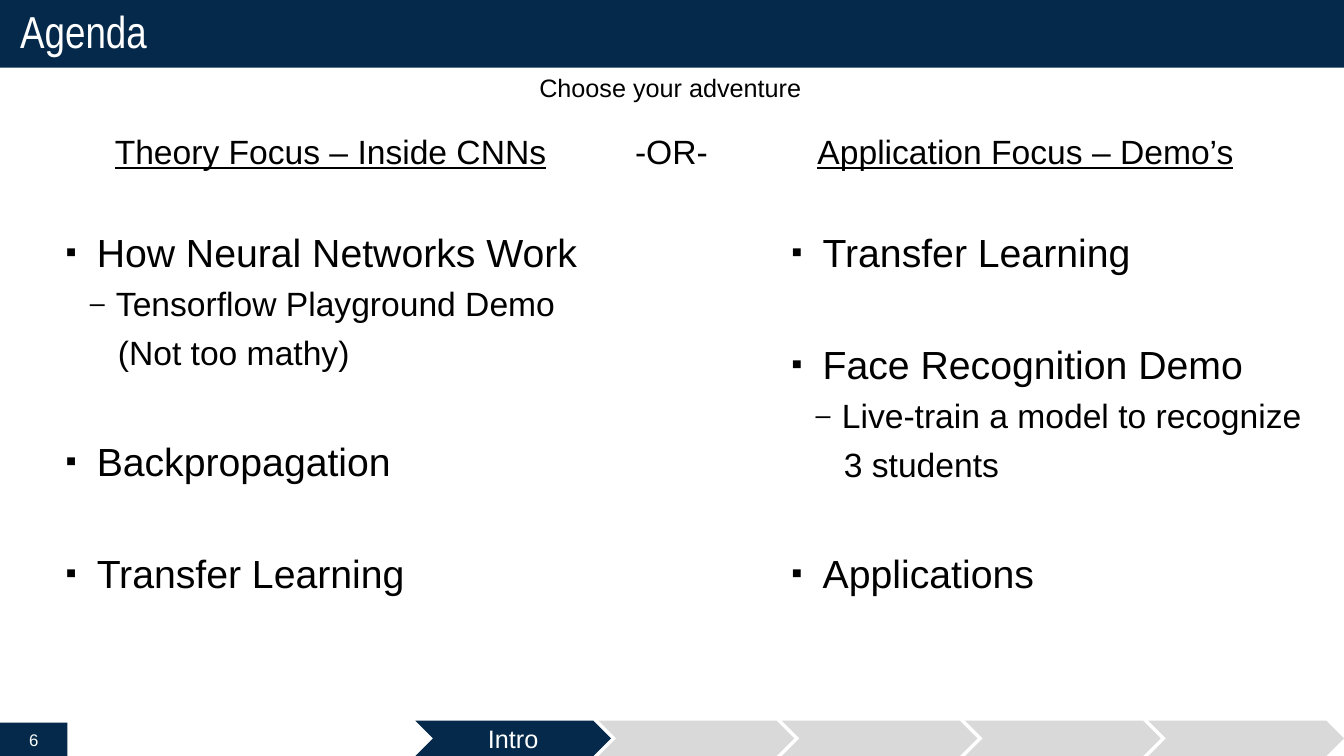
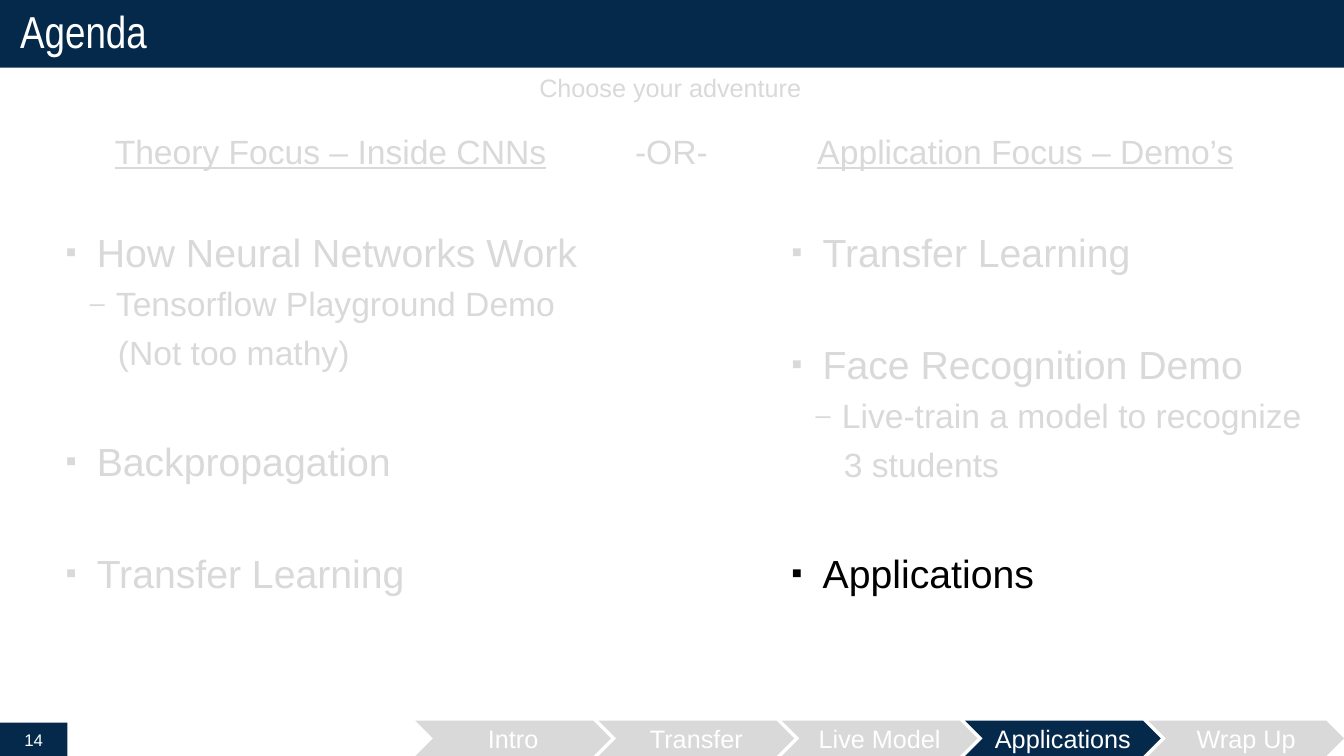
import dataclasses

import lxml.etree
import pptx
import pptx.dml.color
import pptx.enum.shapes
import pptx.enum.text
import pptx.oxml.ns
import pptx.util

Inches = pptx.util.Inches
Pt = pptx.util.Pt
Align = pptx.enum.text.PP_ALIGN
Anchor = pptx.enum.text.MSO_ANCHOR
AutoSize = pptx.enum.text.MSO_AUTO_SIZE
Shape = pptx.enum.shapes.MSO_SHAPE


@dataclasses.dataclass(frozen=True)
class Theme:
    navy: str = "04294A"
    muted: str = "D9D9D9"
    black: str = "000000"
    white: str = "FFFFFF"
    title_font: str = "Arial Narrow"
    text_font: str = "Arial"
    title_size: int = 32
    topic_size: int = 28
    detail_size: int = 24
    label_size: int = 18
    number_size: int = 12


@dataclasses.dataclass(frozen=True)
class ListStyle:
    level: int
    bullet: str
    left: float
    hanging: float
    size: int
    space_before: float


THEME = Theme()
PAGE_WIDTH, PAGE_HEIGHT = 13.33, 7.5
TITLE_BOX = (0, 0, PAGE_WIDTH, 0.67)
NUMBER_BOX = (0, 7.17, 0.67, 0.33)
PROGRESS_BOX = (4.12, 7.15, 9.21, 0.35)
CHEVRON_WIDTH = 1.94
COLUMN_BOXES = ((0.55, 2.21, 5.51, 4.62), (7.75, 2.21, 5.51, 4.62))

STYLES = {
    "topic": ListStyle(0, "▪", 0.31, 0.31, THEME.topic_size, 46.4),
    "detail": ListStyle(1, "–", 0.5, 0.26, THEME.detail_size, 6),
    "continued": ListStyle(1, "", 0.52, 0, THEME.detail_size, 6),
}
COLUMNS = (
    (
        ("topic", "How Neural Networks Work"),
        ("detail", "Tensorflow Playground Demo"),
        ("continued", "(Not too mathy)"),
        ("topic", "Backpropagation"),
        ("topic", "Transfer Learning"),
    ),
    (
        ("topic", "Transfer Learning"),
        ("topic", "Face Recognition Demo"),
        ("detail", "Live-train a model to recognize"),
        ("continued", "3 students"),
        ("topic", "Applications"),
    ),
)
HEADINGS = (
    ("-OR-", (6.2, 1.25, 0.93, 0.5), THEME.detail_size, False),
    ("Choose your adventure", (5.25, 0.67, 2.82, 0.4), THEME.label_size, False),
    ("Theory Focus – Inside CNNs", (1.04, 1.25, 4.53, 0.5), THEME.detail_size, True),
    ("Application Focus – Demo’s", (8.01, 1.25, 4.37, 0.5), THEME.detail_size, True),
)


def color(value):
    return pptx.dml.color.RGBColor.from_string(value)


def inches(box):
    return [Inches(length) for length in box]


def place(shape, box):
    shape.left, shape.top, shape.width, shape.height = inches(box)


def format_font(para, size, value, name=THEME.text_font):
    para.font.name = name
    para.font.size = Pt(size)
    para.font.color.rgb = color(value)


def add_bullet(para, style, value):
    properties = para._p.get_or_add_pPr()
    properties.set("marL", str(Inches(style.left)))
    properties.set("indent", str(-Inches(style.hanging)))

    def add(parent, tag, **attributes):
        return lxml.etree.SubElement(parent, pptx.oxml.ns.qn(tag), attributes)

    if style.bullet:
        add(add(properties, "a:buClr"), "a:srgbClr", val=value)
        add(properties, "a:buSzPct", val="80000")
        add(properties, "a:buFont", typeface=THEME.text_font)
        add(properties, "a:buChar", char=style.bullet)
    else:
        add(properties, "a:buNone")


def add_block(page, kind, box, fill, text, size):
    block = page.shapes.add_shape(kind, *inches(box))
    block.shadow.inherit = False
    block.fill.solid()
    block.fill.fore_color.rgb = color(fill)
    block.line.fill.background()
    if text:
        frame = block.text_frame
        frame.word_wrap = False
        frame.vertical_anchor = Anchor.MIDDLE
        para = frame.paragraphs[0]
        para.text = text
        para.alignment = Align.CENTER
        format_font(para, size, THEME.white)


def fill_title(title, box, text):
    place(title, box)
    title.fill.solid()
    title.fill.fore_color.rgb = color(THEME.navy)
    frame = title.text_frame
    frame.auto_size = AutoSize.NONE
    frame.vertical_anchor = Anchor.MIDDLE
    frame.margin_left = frame.margin_right = Inches(0.2)
    frame.margin_top = frame.margin_bottom = Inches(0.1)
    para = frame.paragraphs[0]
    para.text = text
    para.alignment = Align.LEFT
    para.line_spacing = 0.9
    format_font(para, THEME.title_size, THEME.white, THEME.title_font)


def fill_column(body, box, items, text_color, focus):
    place(body, box)
    frame = body.text_frame
    frame.auto_size = AutoSize.NONE
    frame.vertical_anchor = Anchor.TOP
    for index, (kind, text) in enumerate(items):
        style = STYLES[kind]
        value = THEME.black if text == focus else text_color
        para = frame.add_paragraph() if index else frame.paragraphs[0]
        para.text = text
        para.level = style.level
        add_bullet(para, style, value)
        para.space_before = Pt(style.space_before if index else 0)
        format_font(para, style.size, value)


def add_heading(page, text, box, size, underline, value):
    heading = page.shapes.add_textbox(*inches(box))
    frame = heading.text_frame
    frame.word_wrap = False
    frame.auto_size = AutoSize.SHAPE_TO_FIT_TEXT
    para = frame.paragraphs[0]
    para.text = text
    format_font(para, size, value)
    if underline:
        para.font.underline = True


def add_progress(page, box, steps, active):
    left, top, width, height = box
    pitch = (width - CHEVRON_WIDTH) / (len(steps) - 1)
    for index, step in enumerate(steps):
        fill = THEME.navy if index == active else THEME.muted
        step_box = (left + index * pitch, top, CHEVRON_WIDTH, height)
        add_block(page, Shape.CHEVRON, step_box, fill, step, THEME.label_size)


def add_agenda(deck, number, steps, active, text_color, focus=None):
    page = deck.slides.add_slide(deck.slide_layouts.get_by_name("Two Content"))
    title, *bodies = page.placeholders
    fill_title(title, TITLE_BOX, "Agenda")
    for body, box, items in zip(bodies, COLUMN_BOXES, COLUMNS):
        fill_column(body, box, items, text_color, focus)
    add_block(page, Shape.RECTANGLE, NUMBER_BOX, THEME.navy, number, THEME.number_size)
    for heading in HEADINGS:
        add_heading(page, *heading, text_color)
    add_progress(page, PROGRESS_BOX, steps, active)


def main():
    deck = pptx.Presentation()
    deck.slide_width = Inches(PAGE_WIDTH)
    deck.slide_height = Inches(PAGE_HEIGHT)
    add_agenda(deck, "6", ("Intro", "", "", "", ""), 0, THEME.black)
    steps = ("Intro", "Transfer", "Live Model", "Applications", "Wrap Up")
    add_agenda(deck, "14", steps, 3, THEME.muted, "Applications")
    deck.save("out.pptx")


if __name__ == "__main__":
    main()
